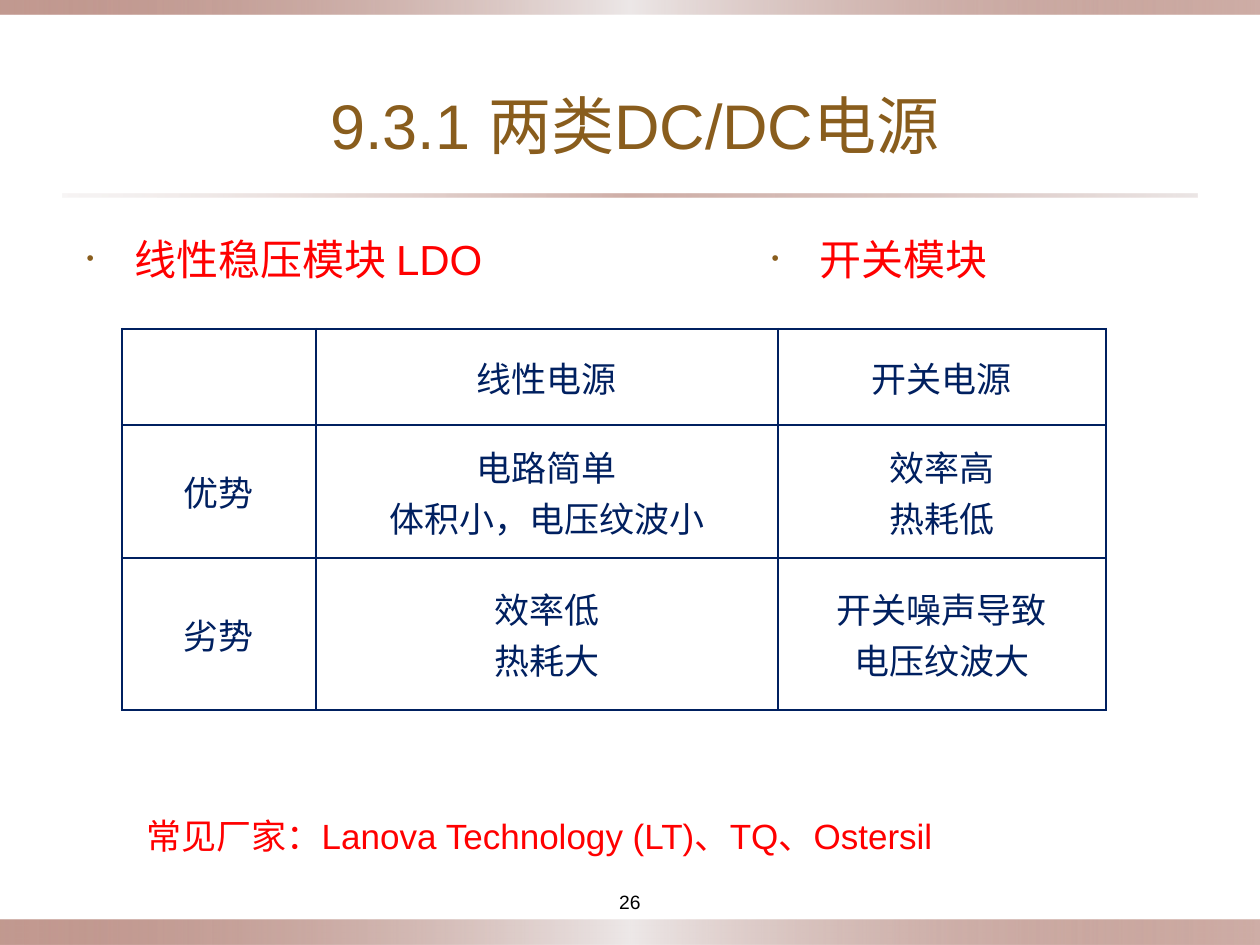
from pptx import Presentation
from pptx.dml.color import RGBColor
from pptx.enum.shapes import MSO_SHAPE
from pptx.enum.text import MSO_ANCHOR, MSO_AUTO_SIZE, PP_ALIGN
from pptx.oxml.ns import qn
from pptx.util import Emu, Pt
from lxml.etree import SubElement

RECT = MSO_SHAPE.RECTANGLE
MID, TOP = MSO_ANCHOR.MIDDLE, MSO_ANCHOR.TOP
CENTER, LEFT = PP_ALIGN.CENTER, PP_ALIGN.LEFT
FIXED = MSO_AUTO_SIZE.NONE
SCALE = 914400 / 126


def px(n):
    return Emu(round(n * SCALE))


def rgb(code):
    return RGBColor.from_string(code)


def node(root, tag, **attrs):
    return SubElement(root, qn(tag), {k: str(v) for k, v in attrs.items()})


class Deck:
    latin, han = "Arial", "Noto Sans CJK SC"
    gold, red, navy, black = "895D1D", "FF0000", "002060", "000000"

    def __init__(self):
        self.file = Presentation()
        self.file.slide_width, self.file.slide_height = px(1260), px(945)
        self.slide = self.file.slides.add_slide(self.file.slide_layouts[3])

    def place(self, shape, box):
        shape.left, shape.top, shape.width, shape.height = map(px, box)

    def style(self, para, size, color, font=latin):
        para.font.name = font
        para.font.size = Pt(size)
        para.font.color.rgb = rgb(color)

    def fill(self, frame, text, size, color, align=LEFT, font=latin):
        frame.text = text
        for para in frame.paragraphs:
            para.alignment = align
            self.style(para, size, color, font)

    def holder(self, shape, box, anchor):
        self.place(shape, box)
        frame = shape.text_frame
        frame.auto_size = FIXED
        frame.vertical_anchor = anchor
        return frame

    def band(self, box, stops):
        shape = self.slide.shapes.add_shape(RECT, *map(px, box))
        shape.shadow.inherit = False
        shape.line.fill.background()
        shape.fill.gradient()
        shape.fill.gradient_angle = 0
        items = shape.element.spPr.find(qn("a:gradFill")).find(qn("a:gsLst"))
        for old in list(items):
            items.remove(old)
        for pos, color, alpha in stops:
            stop = node(items, "a:gs", pos=pos * 1000)
            tint = node(stop, "a:srgbClr", val=color)
            node(tint, "a:alpha", val=alpha * 1000)

    def title(self, box, text):
        frame = self.holder(self.slide.shapes.title, box, MID)
        self.fill(frame, text, 36, self.gold, CENTER)

    def bullet(self, slot, box, text):
        frame = self.holder(self.slide.placeholders[slot], box, TOP)
        frame.text = text
        para = frame.paragraphs[0]
        props = para._p.get_or_add_pPr()
        props.set("marL", str(px(48)))
        props.set("indent", str(px(-48)))
        node(node(props, "a:buClr"), "a:srgbClr", val=self.gold)
        node(props, "a:buSzPct", val=50000)
        node(props, "a:buChar", char="•")
        para.line_spacing = 1.2
        para.space_before = Pt(0)
        self.style(para, 24, self.red)

    def label(self, box, text, size, color, align=LEFT, anchor=TOP):
        frame = self.slide.shapes.add_textbox(*map(px, box)).text_frame
        frame.word_wrap = True
        frame.vertical_anchor = anchor
        self.fill(frame, text, size, color, align)

    def edge(self, cell):
        props = cell._tc.get_or_add_tcPr()
        for tag in ("a:lnL", "a:lnR", "a:lnT", "a:lnB"):
            line = node(props, tag, w=Pt(1.5))
            node(node(line, "a:solidFill"), "a:srgbClr", val=self.navy)

    def table(self, left, top, cols, rows, data):
        box = left, top, sum(cols), sum(rows)
        grid = self.slide.shapes.add_table(len(rows), len(cols), *map(px, box)).table
        grid.first_row = grid.horz_banding = False
        for col, width in zip(grid.columns, cols):
            col.width = px(width)
        for row, height, texts in zip(grid.rows, rows, data):
            row.height = px(height)
            for cell, text in zip(row.cells, texts):
                self.edge(cell)
                cell.fill.background()
                cell.vertical_anchor = MID
                self.fill(cell.text_frame, text, 20, self.navy, CENTER, self.han)


def main():
    deck = Deck()
    rust, pale = "873624", "D9CECD"
    bar = [(0, rust, 50), (50, "EDE8E8", 100), (100, rust, 40)]
    rule = [(0, pale, 20), (50, rust, 40), (100, pale, 50)]
    deck.band((0, 920, 1260, 25), bar)
    deck.band((0, 0, 1260, 15), bar)
    deck.band((63, 194, 1134, 3), rule)
    deck.title((163, 76, 944, 97), "9.3.1 两类DC/DC电源")
    deck.label((567, 882, 126, 39), "26", 11, deck.black, CENTER, MID)
    deck.bullet(1, (74, 217, 536, 89), "线性稳压模块 LDO")
    deck.bullet(2, (759, 217, 436, 89), "开关模块")
    deck.table(122, 329, (194, 462, 328), (96, 133, 152), [
        ("", "线性电源", "开关电源"),
        ("优势", "电路简单\n体积小，电压纹波小", "效率高\n热耗低"),
        ("劣势", "效率低\n热耗大", "开关噪声导致\n电压纹波大"),
    ])
    deck.label((134, 808, 953, 55), "常见厂家：Lanova Technology (LT)、TQ、Ostersil",
               20, deck.red)
    deck.file.save("out.pptx")


if __name__ == "__main__":
    main()
